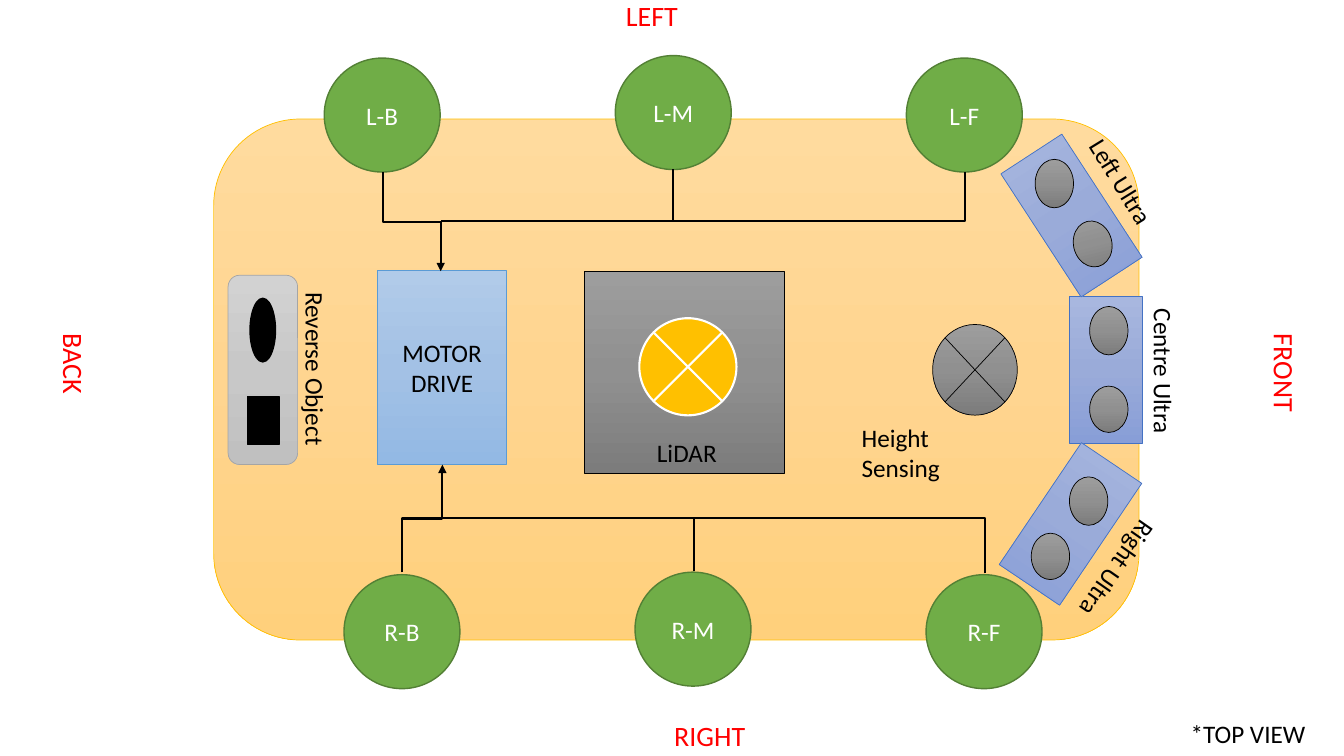
from copy import deepcopy

from lxml import etree
from pptx import Presentation
from pptx.dml.color import RGBColor
from pptx.enum import shapes, text
from pptx.oxml.ns import qn
from pptx.util import Pt

KIND = shapes.MSO_SHAPE
GREY = ("9D9D9D", "909090", "7C7C7C")
BLUE = ("A8B7DF", "9AABD9", "889ED7")
SAND = ("FFDB9E", "FFD590", "FFD07C")
SILVER = ("D2D2D2", "C8C8C8", "C0C0C0")
SKY = ("B1CBE9", "A3C1E5", "93B9E4")
BLACK, WHITE, RED = "000000", "FFFFFF", "FF0000"


def rgb(code):
    """Turn a hex string into a colour."""
    return RGBColor.from_string(code)


def style(item, **values):
    """Set each value as an attribute of the item."""
    for name, value in values.items():
        setattr(item, name, value)


def paint(shape, fill):
    """Fill with one colour, or with three shades from top to bottom."""
    if isinstance(fill, str):
        shape.fill.solid()
        shape.fill.fore_color.rgb = rgb(fill)
        return
    shape.fill.gradient()
    shape.fill.gradient_angle = 270
    stops = shape._element.spPr.find(".//" + qn("a:gsLst"))
    stops.insert(1, deepcopy(stops[0]))
    for stop, code, place in zip(shape.fill.gradient_stops, fill, (0, 0.5, 1)):
        style(stop, position=place)
        stop.color.rgb = rgb(code)


def write(shape, words, size, color, align, **frame):
    """Put formatted words into a shape."""
    style(shape.text_frame, text=words, **frame)
    for para in shape.text_frame.paragraphs:
        para.alignment = align
        style(para.font, size=Pt(size), name="Calibri")
        para.font.color.rgb = rgb(color)


def draw(slide, kind, box, fill, edge, width=0.5, turn=0):
    """Add a preset shape with its fill and outline."""
    shape = slide.shapes.add_shape(kind, *map(Pt, box))
    style(shape, rotation=turn)
    style(shape.shadow, inherit=False)
    paint(shape, fill)
    style(shape.line, width=Pt(width))
    shape.line.color.rgb = rgb(edge)
    return shape


def name(shape, words, color):
    """Centre a name inside a shape."""
    write(shape, words, 18, color, text.PP_ALIGN.CENTER,
          vertical_anchor=text.MSO_ANCHOR.MIDDLE)


def label(slide, words, box, size=18, color=BLACK, turn=0, wrap=False):
    """Add a free label, turned if needed."""
    shape = slide.shapes.add_textbox(*map(Pt, box))
    style(shape, rotation=turn)
    write(shape, words, size, color, text.PP_ALIGN.LEFT, word_wrap=wrap,
          auto_size=text.MSO_AUTO_SIZE.SHAPE_TO_FIT_TEXT)


def wire(slide, start, end, arrow=False):
    """Lead a bent line vertically out of start; an arrow ends vertically too."""
    (x1, y1), (x2, y2) = start, end
    wide, high = abs(y2 - y1), abs(x2 - x1)
    left, top = (x1 + x2 - wide) / 2, (y1 + y2 - high) / 2
    line = slide.shapes.add_connector(
        shapes.MSO_CONNECTOR.ELBOW,
        *map(Pt, (left, top, left + wide, top + high)))
    style(line.line, width=Pt(1.5))
    line.line.color.rgb = rgb(BLACK)
    props = line._element.spPr
    down, right = y2 > y1, x2 > x1
    frame = props.find(qn("a:xfrm"))
    frame.set("rot", str((90 if down else 270) * 60000))
    if down == right:
        frame.set("flipV", "1")
    if arrow:
        tail = etree.SubElement(props.find(qn("a:ln")), qn("a:tailEnd"))
        tail.set("type", "triangle")
    else:
        props.find(qn("a:prstGeom")).set("prst", "bentConnector2")
    etree.SubElement(props, qn("a:effectLst"))


def wheels(slide):
    """Draw the three wheels of each side."""
    for side, left, top in (("L", 231.6, 41.5), ("R", 245.7, 410.5)):
        for i, spot in enumerate("BMF"):
            lift = 1.8 if spot == "M" else 0
            box = (left + 207.9 * i, top - lift, 82.8, 81.4)
            wheel = draw(slide, KIND.OVAL, box, "70AD47", "538035", 1)
            name(wheel, f"{side}-{spot}", WHITE)


def sides(slide):
    """Name the sides of the vehicle and the view."""
    for words, left, top, turn in (("FRONT", 880.5, 252.7, 90),
                                   ("BACK", 15.8, 252.7, 90),
                                   ("LEFT", 440, -4.3, 0),
                                   ("RIGHT", 474.5, 509.8, 0)):
        label(slide, words, (left, top, 74.2, 31.5), 20, RED, turn, True)
    label(slide, "*TOP VIEW", (843.3, 509.8, 116.6, 29), wrap=True)


def ultras(slide):
    """Draw the ultrasonic sensors, each a plate with two eyes."""
    for plate, turn, eyes in (
            ((763.9, 211.7), 0, ((778.3, 218.9, 0), (778.3, 275.8, 0))),
            ((739.4, 101.5), 326.9, ((739.4, 113.8, 0), (766.8, 157.7, 346))),
            ((738.7, 321.8), 34, ((763.9, 340.6, 0), (736.6, 380.9, 0)))):
        draw(slide, KIND.RECTANGLE, (*plate, 52, 105), BLUE, "4472C4", turn=turn)
        for (left, top, tilt), high in zip(eyes, (34.6, 33.1)):
            draw(slide, KIND.OVAL, (left, top, 27.4, high), GREY, BLACK, turn=tilt)


def wires(slide):
    """Wire the wheels to the motor drive."""
    wire(slide, (273.6, 122.8), (314.8, 193.7), True)
    wire(slide, (481, 121), (314.8, 158))
    wire(slide, (689, 122.8), (476.6, 158))
    wire(slide, (287.2, 408.8), (316, 331.9), True)
    wire(slide, (495.6, 408), (305.3, 370.1))
    wire(slide, (703.4, 409.5), (385.2, 370.1))


def main():
    """Build the vehicle's top view."""
    deck = Presentation()
    style(deck, slide_width=Pt(960), slide_height=Pt(540))
    slide = deck.slides.add_slide(deck.slide_layouts[6])
    draw(slide, KIND.ROUNDED_RECTANGLE, (152.6, 85, 661, 372.2), SAND, "FFC000")
    wheels(slide)
    sides(slide)
    ultras(slide)
    draw(slide, KIND.FLOWCHART_SUMMING_JUNCTION, (666.2, 231.8, 60.5, 64.8),
         GREY, BLACK)
    draw(slide, KIND.ROUNDED_RECTANGLE, (162.9, 196.6, 49.7, 135.2),
         SILVER, "A5A5A5")
    draw(slide, KIND.OVAL, (178.6, 213.1, 18.2, 45.4), BLACK, BLACK, 1)
    draw(slide, KIND.RECTANGLE, (177, 283, 22.3, 34.6), BLACK, BLACK, 1)
    motor = draw(slide, KIND.RECTANGLE, (269.7, 193.4, 92.2, 138.2),
                 SKY, "5B9BD5")
    name(motor, "MOTOR\nDRIVE", BLACK)
    wires(slide)
    draw(slide, KIND.RECTANGLE, (417.6, 194.1, 142.7, 144), GREY, BLACK)
    draw(slide, KIND.FLOWCHART_SUMMING_JUNCTION, (456.7, 227.3, 69.4, 69.4),
         "FFC000", WHITE, 1.5)
    for words, left, top, wide, turn in (
            ("LiDAR", 462.2, 308.5, 57.6, 0),
            ("Height Sensing", 608.4, 298.1, 122, 0),
            ("Reverse Object", 162.7, 249.8, 125.3, 90),
            ("Centre Ultra", 779, 251.3, 104.4, 90),
            ("Left Ultra", 759.6, 115.9, 83.5, 58.4),
            ("Right Ultra", 751, 392.4, 93.6, 124.9)):
        label(slide, words, (left, top, wide, 29), turn=turn)
    deck.save("out.pptx")


main()
